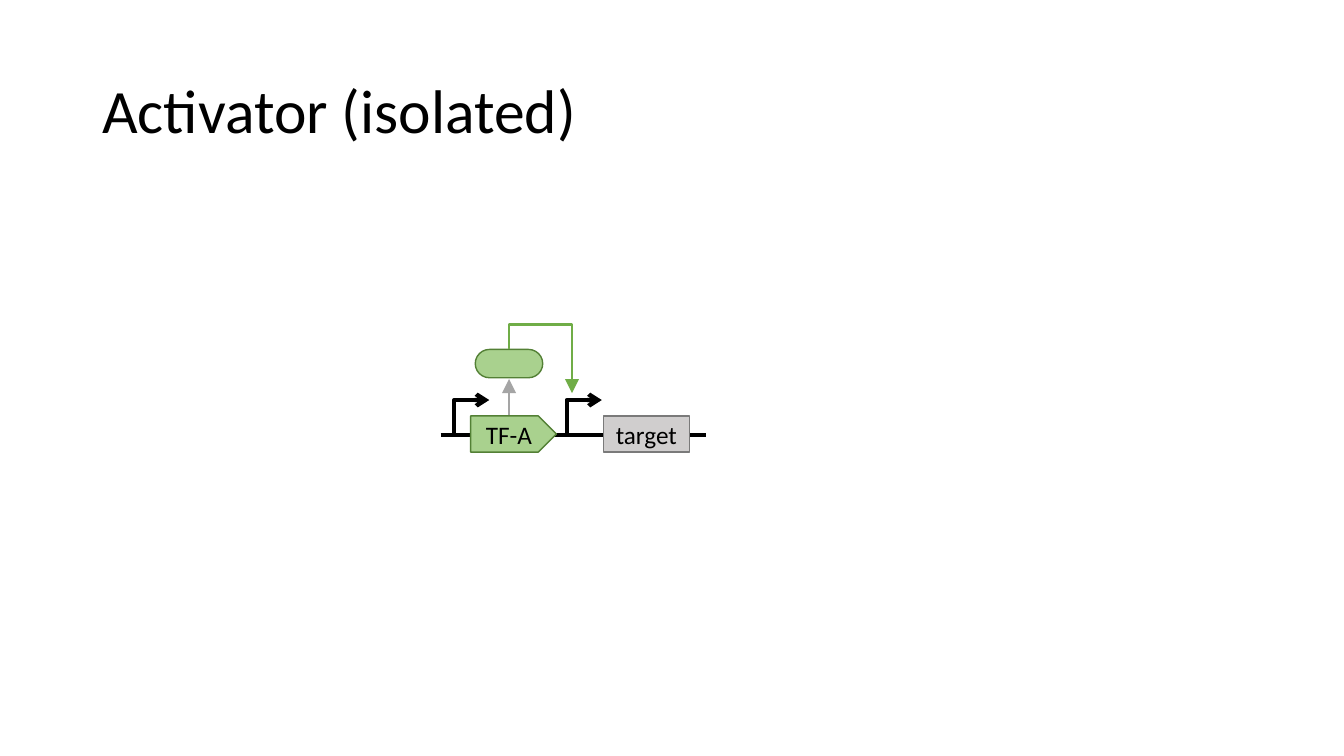
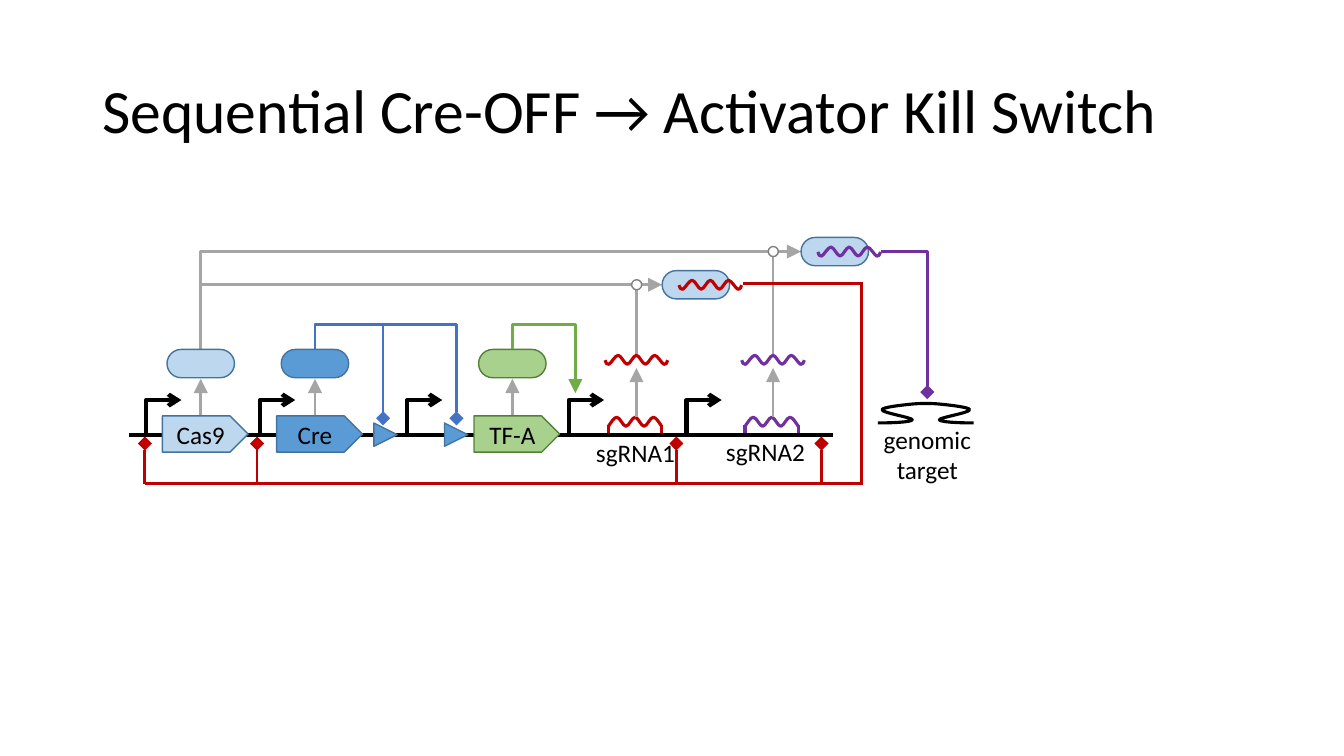
from lxml.etree import SubElement
from pptx import Presentation
from pptx.dml.color import RGBColor
from pptx.enum.shapes import MSO_CONNECTOR as Link, MSO_SHAPE as Preset
from pptx.enum.text import MSO_ANCHOR as Anchor, PP_ALIGN as Align
from pptx.oxml.ns import qn
from pptx.util import Pt

BLACK = RGBColor(0x00, 0x00, 0x00)
WHITE = RGBColor(0xFF, 0xFF, 0xFF)
GRAY = RGBColor(0xA5, 0xA5, 0xA5)
DARK_GRAY = RGBColor(0x80, 0x80, 0x80)
TARGET_FILL = RGBColor(0xD0, 0xCE, 0xCE)
TARGET_EDGE = RGBColor(0x7A, 0x7A, 0x7A)
LIGHT_GREEN = RGBColor(0xA9, 0xD1, 0x8E)
GREEN = RGBColor(0x70, 0xAD, 0x47)
DARK_GREEN = RGBColor(0x53, 0x80, 0x35)
PALE_BLUE = RGBColor(0xBD, 0xD7, 0xEE)
SKY_BLUE = RGBColor(0x5B, 0x9B, 0xD5)
BLUE = RGBColor(0x44, 0x72, 0xC4)
DARK_BLUE = RGBColor(0x43, 0x73, 0x9E)
RED = RGBColor(0xC0, 0x00, 0x00)
PURPLE = RGBColor(0x70, 0x30, 0xA0)

FONT = "Calibri"
DNA_Y = 310.7
GENE_TOP, GENE_WIDTH, GENE_HEIGHT = 297.1, 61.2, 25.9
PROTEIN_TOP, PROTEIN_WIDTH, PROTEIN_HEIGHT = 249.6, 48.2, 20.2
STEM_OFFSET = 27.4

CRESTS = [(-13, -3.2), (-10.8, -3.2), (-8.6, 3.2), (-6.5, 3.2), (-4.3, 3.2), (-2.2, -3.2)]
HUMPS = [(-19, 3.2), (-17, 0.4), (-15.1, -3.2)] + CRESTS
SQUIGGLE = [(-22.4, 0.3), (-21.8, 2), (-21.2, 3.9), (-19.7, 3.3), (-18, 2.5), (-15.1, -3.2)] + CRESTS
GENOME = [(-34.2, 14.1), (-22, 14.1), (-10.4, 13.4), (-9.7, 11.9), (-9.2, 10.3), (-31.3, 6.9),
          (-31.3, 4.7), (-31.3, 2.9), (-17.5, 1.4), (-10.5, 0.7), (-4, 0)]


def write(shape, text, size=18, align=Align.CENTER, anchor=Anchor.MIDDLE,
          spacing=1.0, wrap=False, inset=0):
    """Put formatted text into a shape, one paragraph per line."""
    frame = shape.text_frame
    frame.word_wrap = wrap
    frame.vertical_anchor = anchor
    frame.margin_left = frame.margin_right = Pt(inset)
    frame.margin_top = frame.margin_bottom = Pt(inset / 2)
    frame.text = text
    for paragraph in frame.paragraphs:
        paragraph.alignment = align
        paragraph.line_spacing = spacing
        paragraph.font.name = FONT
        paragraph.font.size = Pt(size)
        paragraph.font.color.rgb = BLACK


class CircuitDeck:
    """Holds the presentation, its style and the current slide."""

    def __init__(self):
        """Start an empty wide presentation."""
        self.presentation = Presentation()
        self.presentation.slide_width = Pt(960)
        self.presentation.slide_height = Pt(540)

    def new_slide(self, title):
        """Add a blank slide with a title."""
        self.slide = self.presentation.slides.add_slide(self.presentation.slide_layouts[6])
        box = self.slide.shapes.add_textbox(Pt(66), Pt(28.75), Pt(828), Pt(104.4))
        write(box, title, size=44, align=Align.LEFT, spacing=0.9, wrap=True, inset=7.2)

    def label(self, center, top, text, width=71.3, height=28.8):
        """Add a centred caption below its top edge."""
        box = self.slide.shapes.add_textbox(Pt(center - width / 2), Pt(top), Pt(width), Pt(height))
        write(box, text, anchor=Anchor.TOP, inset=7.2)

    def shape(self, preset, left, top, width, height, fill, edge):
        """Add a flat preset shape with a thin outline."""
        shape = self.slide.shapes.add_shape(preset, Pt(left), Pt(top), Pt(width), Pt(height))
        shape.shadow.inherit = False
        shape.fill.solid()
        shape.fill.fore_color.rgb = fill
        shape.line.color.rgb = edge
        shape.line.width = Pt(1)
        return shape

    def line(self, start, end, color, width=2, tip=None, kind=Link.STRAIGHT):
        """Add a connector, with an optional arrowhead at its end."""
        connector = self.slide.shapes.add_connector(kind, *(Pt(v) for v in (*start, *end)))
        connector.line.color.rgb = color
        connector.line.width = Pt(width)
        if tip:
            size = "med" if tip == "arrow" else "lg"
            SubElement(connector.line._get_or_add_ln(), qn("a:tailEnd"), type=tip, w=size, len=size)
        SubElement(connector._element.spPr, qn("a:effectLst"))
        return connector

    def elbow(self, start, end, color, preset, adjust=(), turned=False, **style):
        """Add a bent connector, leaving vertically if turned."""
        if turned:
            (x1, y1), (x2, y2) = start, end
            x, y = (x1 + x2) / 2, (y1 + y2) / 2
            dx, dy = (x2 - x1) / 2, (y2 - y1) / 2
            start, end = (x + dy, y - dx), (x - dy, y + dx)
        connector = self.line(start, end, color, kind=Link.ELBOW, **style)
        properties = connector._element.spPr
        if turned:
            properties.find(qn("a:xfrm")).set("rot", str(270 * 60000))
        geometry = properties.find(qn("a:prstGeom"))
        geometry.set("prst", preset)
        guides = geometry.find(qn("a:avLst"))
        if guides is None:
            guides = SubElement(geometry, qn("a:avLst"))
        for number, value in enumerate(adjust, 1):
            SubElement(guides, qn("a:gd"), name=f"adj{number}", fmla=f"val {round(value * 100000)}")

    def curve(self, x, y, points, color):
        """Draw a chain of cubic curves given by knots and handles around a point."""
        points = [(Pt(x + dx), Pt(y + dy)) for dx, dy in points]
        builder = self.slide.shapes.build_freeform(*points[0])
        builder.add_line_segments(points[1:], close=False)
        shape = builder.convert_to_shape()
        shape.shadow.inherit = False
        shape.fill.background()
        shape.line.color.rgb = color
        shape.line.width = Pt(2.25)
        outline = next(shape._element.iter(qn("a:path")))
        segments = outline.findall(qn("a:lnTo"))
        for index, segment in enumerate(segments):
            if index % 3 == 0:
                cubic = SubElement(outline, qn("a:cubicBezTo"))
            cubic.append(segment[0])
            outline.remove(segment)

    def wave(self, center, middle, color, half=SQUIGGLE):
        """Draw a symmetric RNA wave around its centre."""
        mirrored = [(-x, y) for x, y in reversed(half)]
        self.curve(center, middle, half + [(0, -3.2)] + mirrored, color)

    def dna(self, left, right):
        """Draw the DNA backbone."""
        self.line((left, DNA_Y), (right, DNA_Y), BLACK, width=3)

    def promoter(self, left):
        """Draw a promoter arrow rising from the DNA."""
        self.elbow((left, 309.6), (left + 25.9, 285.8), BLACK, "bentConnector3",
                   adjust=(0.03,), width=3, tip="arrow")

    def box(self, left, text, fill, edge):
        """Draw a labelled block on the DNA and return it."""
        block = self.shape(Preset.PENTAGON, left, GENE_TOP, GENE_WIDTH, GENE_HEIGHT, fill, edge)
        write(block, text)
        return block

    def protein(self, left, top, fill, edge):
        """Draw a protein capsule."""
        capsule = self.shape(Preset.ROUNDED_RECTANGLE, left, top,
                             PROTEIN_WIDTH, PROTEIN_HEIGHT, fill, edge)
        capsule.adjustments[0] = 0.5

    def gene(self, left, text, fill, edge):
        """Draw a gene and the protein it expresses."""
        stem = left + STEM_OFFSET
        self.line((stem, 299.5), (stem, 270.7), GRAY, tip="triangle")
        self.box(left, text, fill, edge)
        self.protein(stem - PROTEIN_WIDTH / 2, PROTEIN_TOP, fill, edge)

    def regulate(self, gene_left, reach, bottom, color, tip):
        """Lead a protein's action over to a site on the DNA."""
        stem = gene_left + STEM_OFFSET
        rise = 18 / (bottom - PROTEIN_TOP)
        self.elbow((stem, PROTEIN_TOP), (stem + reach, bottom), color, "bentConnector4",
                   adjust=(-rise, 1), turned=True, tip=tip)

    def guide_gene(self, center, color):
        """Draw the humped gene of a guide RNA."""
        self.wave(center, 301.3, color, half=HUMPS)
        for x in (center - 19, center + 19):
            self.line((x, 303.8), (x, 311.8), color, width=2.25)
        self.line((center - 19, 310.8), (center + 19, 310.8), color, width=2.25)

    def guide(self, center, color, node_y, complex_left):
        """Draw a guide RNA joining its nuclease complex."""
        stem = center + 1
        self.line((stem, 298), (stem, 262.8), GRAY, tip="triangle")
        self.line((stem, 253.4), (stem, node_y + 3.6), GRAY)
        self.wave(stem, 257, color)
        self.line((stem, node_y), (complex_left, node_y), GRAY, tip="triangle")
        self.protein(complex_left, node_y - PROTEIN_HEIGHT / 2, PALE_BLUE, DARK_BLUE)
        self.wave(complex_left + 34.4, node_y, color)
        self.shape(Preset.OVAL, stem - 3.4, node_y - 3.6, 7.2, 7.2, WHITE, DARK_GRAY)

    def recombination_site(self, left):
        """Draw a triangular recombination site."""
        site = self.shape(Preset.ISOSCELES_TRIANGLE, left, 302.2, 16.6, 16.6, SKY_BLUE, DARK_BLUE)
        site.rotation = 90

    def genome(self, center, top):
        """Draw a symmetric stretch of genomic DNA."""
        mirrored = [(-x, y) for x, y in reversed(GENOME)]
        self.curve(center, top, GENOME + mirrored, BLACK)


def activator_slide(deck):
    """Build the isolated activator."""
    gene_left = 336.2
    deck.new_slide("Activator (isolated)")
    deck.dna(314.8, 504)
    for left in (323.6, 404):
        deck.promoter(left)
    deck.gene(gene_left, "TF-A", LIGHT_GREEN, DARK_GREEN)
    deck.regulate(gene_left, 45, 280.8, GREEN, "triangle")
    deck.box(431.1, "target", TARGET_FILL, TARGET_EDGE).adjustments[0] = 0


def kill_switch_slide(deck):
    """Build the sequential kill switch."""
    cas9, cre, activator = 116, 197.6, 338.6
    guide1, guide2 = 453.6, 551.2
    upper, lower = 179.7, 203.4
    rail_y, rail_right = 345.6, 615.2
    deck.new_slide("Sequential Cre-OFF \u2192 Activator Kill Switch")
    deck.guide_gene(guide1, RED)
    deck.guide_gene(guide2, PURPLE)
    deck.dna(92.2, 595.2)
    for left in (103.7, 185, 290, 405.6, 489.6):
        deck.promoter(left)

    cas9_stem = cas9 + STEM_OFFSET
    deck.elbow((cas9_stem, PROTEIN_TOP), (guide2, upper), GRAY, "bentConnector2", turned=True)
    deck.line((cas9_stem, lower), (guide1, lower), GRAY)
    deck.gene(cas9, "Cas9", PALE_BLUE, DARK_BLUE)
    deck.gene(cre, "Cre", SKY_BLUE, DARK_BLUE)
    deck.gene(activator, "TF-A", LIGHT_GREEN, DARK_GREEN)
    deck.regulate(activator, 45, 280.8, GREEN, "triangle")
    for site_left, reach in ((267.1, 48.6), (317.5, 101)):
        deck.recombination_site(site_left)
        deck.regulate(cre, reach, 298.8, BLUE, "diamond")

    deck.label(453.9, 308.9, "sgRNA1")
    deck.label(546.8, 308.2, "sgRNA2")
    deck.guide(guide2, PURPLE, upper, 572.2)
    deck.guide(guide1, RED, lower, 473)

    deck.line((530.6, 202.3), (rail_right, 202.3), RED)
    deck.line((rail_right, 201.6), (rail_right, rail_y + 0.7), RED)
    deck.line((103.5, rail_y), (rail_right, rail_y), RED)
    for cut in (103.5, 183.6, 483.1, 586.8):
        deck.line((cut, rail_y), (cut, 316.8), RED, tip="diamond")

    deck.elbow((629.3, upper), (662.4, 280.1), PURPLE, "bentConnector2", tip="diamond")
    deck.genome(661.3, 288)
    deck.label(662.4, 299.5, "genomic\ntarget", width=77.8, height=51.1)


deck = CircuitDeck()
activator_slide(deck)
kill_switch_slide(deck)
deck.presentation.save("out.pptx")
